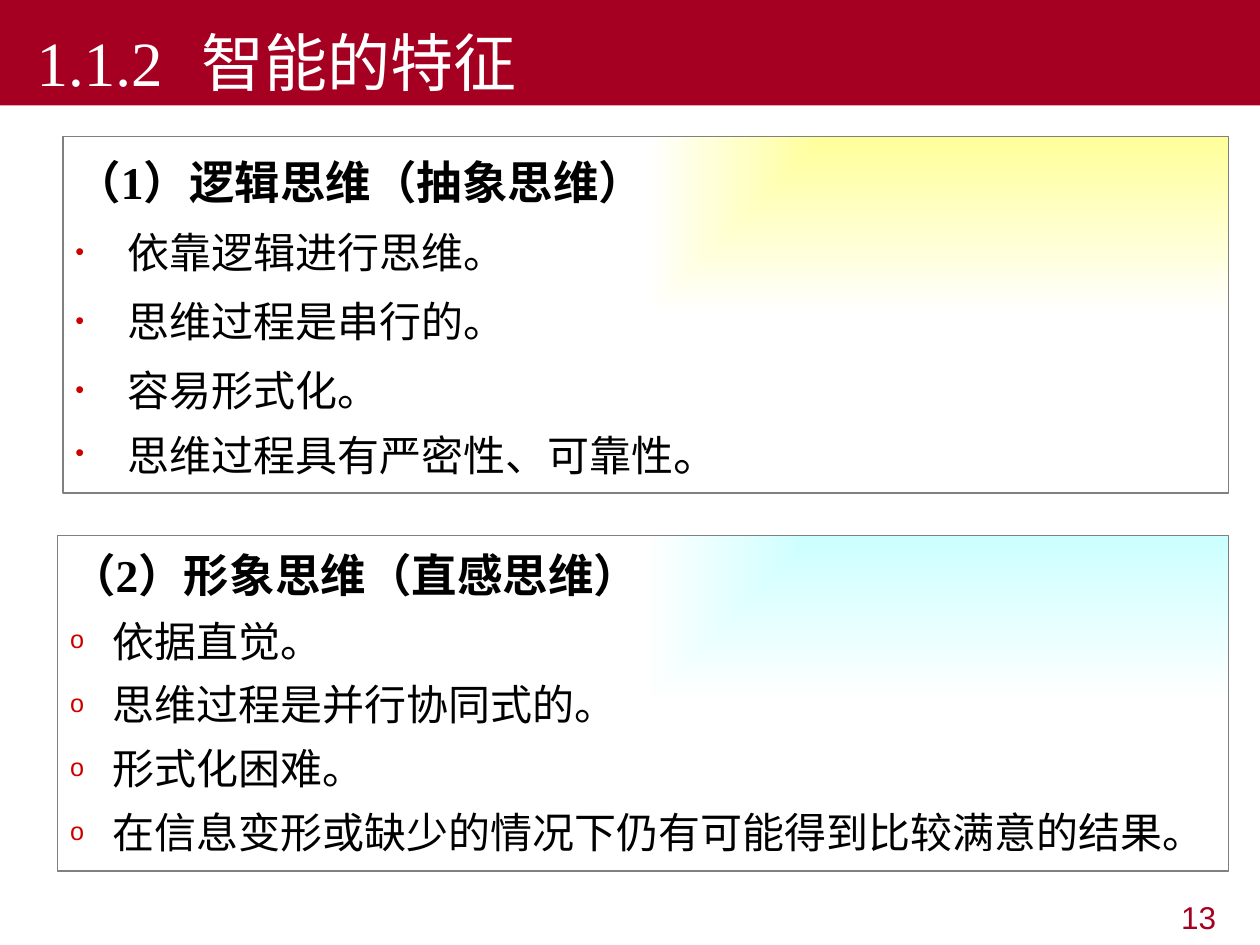
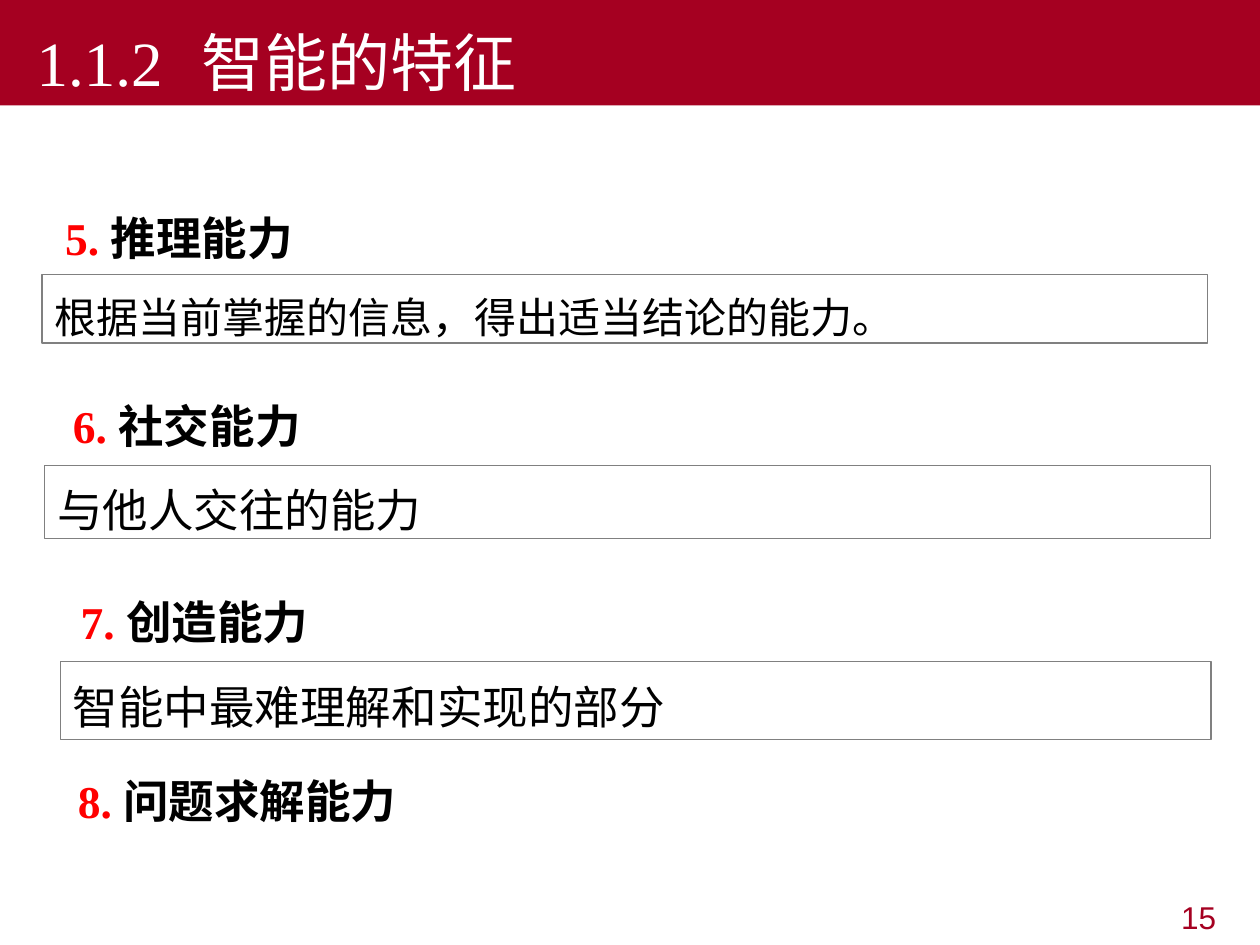
from lxml.etree import SubElement
from pptx import Presentation
from pptx.dml.color import RGBColor as Rgb
from pptx.enum.lang import MSO_LANGUAGE_ID as Language
from pptx.enum.shapes import MSO_SHAPE as Preset
from pptx.enum.text import MSO_ANCHOR as Anchor, MSO_AUTO_SIZE as AutoSize, PP_ALIGN as Align
from pptx.oxml.ns import qn
from pptx.util import Pt

COLORS = {
    "crimson": "A50021", "white": "FFFFFF", "black": "000000", "red": "FF0000",
    "bullet": "CC0000", "border": "808080", "yellow": "FFFF99", "cyan": "CCFFFF",
}
SERIF = "Times New Roman"
TITLE = "1.1.2\t智能的特征"
HEADING = {"size": Pt(26), "bold": True}


def color(name):
    return Rgb.from_string(COLORS[name])


def add_node(parent, tag, **values):
    return SubElement(parent, qn(tag), values)


def add_span(para, text, ink="black", **values):
    span = para.add_run()
    span.text = text
    settings = {"name": SERIF, "language_id": Language.SIMPLIFIED_CHINESE, **values}
    for key, value in settings.items():
        setattr(span.font, key, value)
    span.font.color.rgb = color(ink)


def prepare_frame(box, anchor=Anchor.TOP):
    frame = box.text_frame
    settings = {"word_wrap": True, "auto_size": AutoSize.NONE, "vertical_anchor": anchor}
    for key, value in settings.items():
        setattr(frame, key, value)
    return frame


def format_para(para, spacing=1.0, before=0, align=Align.LEFT):
    settings = {"line_spacing": spacing, "space_before": Pt(before), "alignment": align}
    for key, value in settings.items():
        setattr(para, key, value)


def set_indent(para, margin, first):
    properties = para._p.get_or_add_pPr()
    properties.set("marL", str(Pt(margin)))
    properties.set("indent", str(Pt(first)))
    return properties


def set_bullet(para, mark, hang):
    properties = set_indent(para, hang, -hang)
    add_node(add_node(properties, "a:buClr"), "a:srgbClr", val=COLORS["bullet"])
    add_node(properties, "a:buSzPct", val="60000")
    add_node(properties, "a:buFont", typeface="Arial")
    add_node(properties, "a:buChar", char=mark)


def add_title(page):
    title = page.shapes.title
    settings = {"left": 0, "top": 0, "width": Pt(720), "height": Pt(60.2)}
    for key, value in settings.items():
        setattr(title, key, value)
    title.fill.solid()
    title.fill.fore_color.rgb = color("crimson")
    para = prepare_frame(title, Anchor.BOTTOM).paragraphs[0]
    tabs = add_node(set_indent(para, 0, 13.7), "a:tabLst")
    add_node(tabs, "a:tab", pos=str(Pt(112.8)), algn="l")
    format_para(para)
    add_span(para, TITLE, "white", size=Pt(36))


def add_page_number(page, number):
    box = page.shapes.add_textbox(Pt(545.8), Pt(509.8), Pt(156.2), Pt(28))
    para = prepare_frame(box).paragraphs[0]
    format_para(para, align=Align.RIGHT)
    add_span(para, str(number), "crimson", name="Arial", size=Pt(18))


def add_page(deck, number):
    page = deck.slides.add_slide(deck.slide_layouts[5])
    add_title(page)
    add_page_number(page, number)
    return page


def add_bordered_box(page, place):
    box = page.shapes.add_shape(Preset.RECTANGLE, *map(Pt, place))
    box.shadow.inherit = False
    box.line.color.rgb = color("border")
    box.line.width = Pt(0.75)
    return box


def fill_from_corner(box, tint):
    box.fill.gradient()
    for stop, name, position in zip(box.fill.gradient_stops, (tint, "white"), (0, 1)):
        stop.color.rgb = color(name)
        stop.position = position
    gradient = box._element.spPr.find(qn("a:gradFill"))
    gradient.remove(gradient.find(qn("a:lin")))
    shade = add_node(gradient, "a:path", path="rect")
    add_node(shade, "a:fillToRect", l="100000", b="100000")


def add_thinking_panel(page, place, tint, heading, points, mark, hang, spacing):
    box = add_bordered_box(page, place)
    fill_from_corner(box, tint)
    frame = prepare_frame(box)
    para = frame.paragraphs[0]
    format_para(para, spacing)
    add_span(para, heading, **HEADING)
    for point in points:
        para = frame.add_paragraph()
        set_bullet(para, mark, hang)
        format_para(para, spacing, 4.8)
        add_span(para, point, size=Pt(24))
    return para


def add_ability(page, number, name, left, top):
    box = page.shapes.add_textbox(Pt(left), Pt(top), Pt(606), Pt(48))
    para = prepare_frame(box).paragraphs[0]
    format_para(para, 1.2)
    add_span(para, f"{number}. ", "red", **HEADING)
    add_span(para, name, **HEADING)


def add_explanation(page, place, text, size):
    box = add_bordered_box(page, place)
    box.fill.solid()
    box.fill.fore_color.rgb = color("white")
    para = prepare_frame(box).paragraphs[0]
    format_para(para, 1.2)
    add_span(para, text, size=Pt(size))


def build_thinking_page(deck):
    page = add_page(deck, 13)
    last = add_thinking_panel(
        page, (36, 78, 666, 203.8), "yellow", "（1）逻辑思维（抽象思维）",
        ["依靠逻辑进行思维。", "思维过程是串行的。", "容易形式化。", "思维过程具有严密性、可靠性"],
        "•", 30, 1.2)
    last.space_before = Pt(0)
    add_span(last, "。", size=Pt(26))
    add_thinking_panel(
        page, (33, 306, 669, 191.8), "cyan", "（2）形象思维（直感思维）",
        ["依据直觉。", "思维过程是并行协同式的。", "形式化困难。",
         "在信息变形或缺少的情况下仍有可能得到比较满意的结果。"],
        "o", 24.4, 1.1)


def build_ability_page(deck):
    page = add_page(deck, 15)
    abilities = [
        ("推理能力", 30.2, 110), ("社交能力", 34.6, 217.4),
        ("创造能力", 39, 329.8), ("问题求解能力", 37.4, 432),
    ]
    for number, ability in enumerate(abilities, 5):
        add_ability(page, number, *ability)
    explanations = [
        ((24, 157, 666, 39), "根据当前掌握的信息，得出适当结论的能力。", 24),
        ((25.6, 265.8, 666, 41.8), "与他人交往的能力", 26),
        ((34.6, 378, 657.4, 44.8), "智能中最难理解和实现的部分", 26),
    ]
    for explanation in explanations:
        add_explanation(page, *explanation)


def main():
    deck = Presentation()
    deck.slide_width, deck.slide_height = Pt(720), Pt(540)
    build_thinking_page(deck)
    build_ability_page(deck)
    deck.save("out.pptx")


if __name__ == "__main__":
    main()
